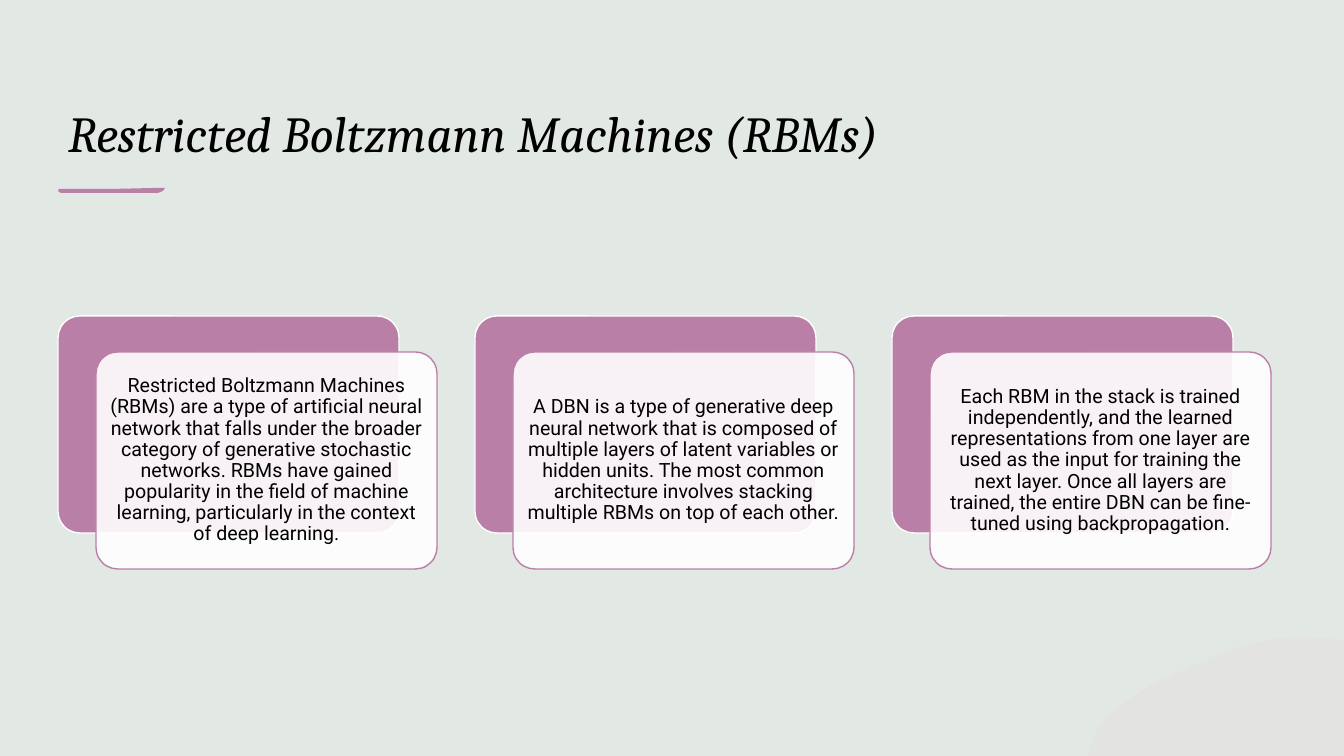
"""Build the slide on Restricted Boltzmann Machines."""
from lxml import etree
from pptx import Presentation
from pptx.dml.color import RGBColor
from pptx.enum.shapes import MSO_SHAPE
from pptx.enum.text import MSO_ANCHOR, PP_ALIGN
from pptx.oxml.ns import qn
from pptx.util import Pt

PX = 12192000 / 1344
ROUNDED = MSO_SHAPE.ROUNDED_RECTANGLE
BOTTOM, MIDDLE = MSO_ANCHOR.BOTTOM, MSO_ANCHOR.MIDDLE
LEFT, CENTER = PP_ALIGN.LEFT, PP_ALIGN.CENTER
SAGE = RGBColor(0xE2, 0xE8, 0xE4)
MAUVE = RGBColor(0xBA, 0x7F, 0xA6)
BLUSH = RGBColor(0xE8, 0xD5, 0xDA)
WHITE = RGBColor(0xFF, 0xFF, 0xFF)
BLACK = RGBColor(0x00, 0x00, 0x00)


def paint(shape, color, opacity=100, outline=None):
    shape.shadow.inherit = False
    shape.fill.solid()
    shape.fill.fore_color.rgb = color
    if opacity < 100:
        tint = shape.fill._xPr.find(qn("a:solidFill"))[0]
        etree.SubElement(tint, qn("a:alpha")).set("val", str(opacity * 1000))
    if outline is None:
        shape.line.fill.background()
    else:
        shape.line.color.rgb = outline
        shape.line.width = Pt(1)


def write(shape, text, anchor, alignment, spacing, margins, font):
    frame = shape.text_frame
    frame.word_wrap = True
    frame.vertical_anchor = anchor
    for side, margin in zip(("left", "top", "right", "bottom"), margins):
        setattr(frame, f"margin_{side}", round(margin * PX))
    para = frame.paragraphs[0]
    para.alignment = alignment
    para.line_spacing = spacing
    span = para.add_run()
    span.text = text
    for name, value in font.items():
        setattr(span.font, name, value)
    span.font.color.rgb = BLACK


deck = Presentation()
deck.slide_width, deck.slide_height = round(1344 * PX), round(756 * PX)
page = deck.slides.add_slide(deck.slide_layouts[6])
page.background.fill.solid()
page.background.fill.fore_color.rgb = SAGE

title = page.shapes.add_textbox(*(round(n * PX) for n in (58, 77, 1111, 91)))
write(title, "Restricted Boltzmann Machines (RBMs)", BOTTOM, LEFT, 1.0, (10, 5, 10, 5),
      {"name": "Cambria", "size": Pt(36), "italic": True})

stroke = [(59, 189), (76, 189), (112, 189), (155, 188), (165, 188), (163, 191),
          (158, 193), (120, 193), (90, 193), (61, 193), (58, 191)]
hill = [(1344, 756), (1088, 756), (1089, 751)]
curves = [((1096, 713), (1142, 689), (1184, 670)),
          ((1220, 653), (1256, 637), (1302, 637)),
          ((1311, 637), (1321, 638), (1331, 639))]
STEPS = 12
for control_a, control_b, end in curves:
    start = hill[-1]
    for step in range(1, STEPS + 1):
        t = step / STEPS
        weights = ((1 - t) ** 3, 3 * t * (1 - t) ** 2, 3 * t * t * (1 - t), t ** 3)
        corners = (start, control_a, control_b, end)
        hill.append(tuple(sum(w * c[axis] for w, c in zip(weights, corners))
                          for axis in (0, 1)))
hill.append((1344, 642))

for points, color, opacity in ((stroke, MAUVE, 100), (hill, BLUSH, 25)):
    outline = page.shapes.build_freeform(*points[0], scale=PX)
    outline.add_line_segments(points[1:], close=True)
    paint(outline.convert_to_shape(), color, opacity)

CARD_LEFT, CARD_TOP, CARD_WIDTH, CARD_HEIGHT = 58, 316, 341, 217
CARD_STEP, FRONT_RIGHT, FRONT_DOWN = 417, 38, 36
card_texts = [
    "Restricted Boltzmann Machines (RBMs) are a type of artificial neural network "
    "that falls under the broader category of generative stochastic networks. RBMs "
    "have gained popularity in the field of machine learning, particularly in the "
    "context of deep learning.",
    "A DBN is a type of generative deep neural network that is composed of multiple "
    "layers of latent variables or hidden units. The most common architecture "
    "involves stacking multiple RBMs on top of each other.",
    "Each RBM in the stack is trained independently, and the learned representations "
    "from one layer are used as the input for training the next layer. Once all "
    "layers are trained, the entire DBN can be fine-tuned using backpropagation.",
]
for index, text in enumerate(card_texts):
    left = CARD_LEFT + index * CARD_STEP
    for right, down, color, opacity, border in (
            (0, 0, MAUVE, 100, WHITE),
            (FRONT_RIGHT, FRONT_DOWN, WHITE, 90, MAUVE)):
        place = (left + right, CARD_TOP + down, CARD_WIDTH, CARD_HEIGHT)
        card = page.shapes.add_shape(ROUNDED, *(round(n * PX) for n in place))
        card.adjustments[0] = 0.1
        paint(card, color, opacity, border)
    write(card, text, MIDDLE, CENTER, 0.9, (6, 6, 6, 6),
          {"name": "Roboto", "size": Pt(14)})

deck.save("out.pptx")
